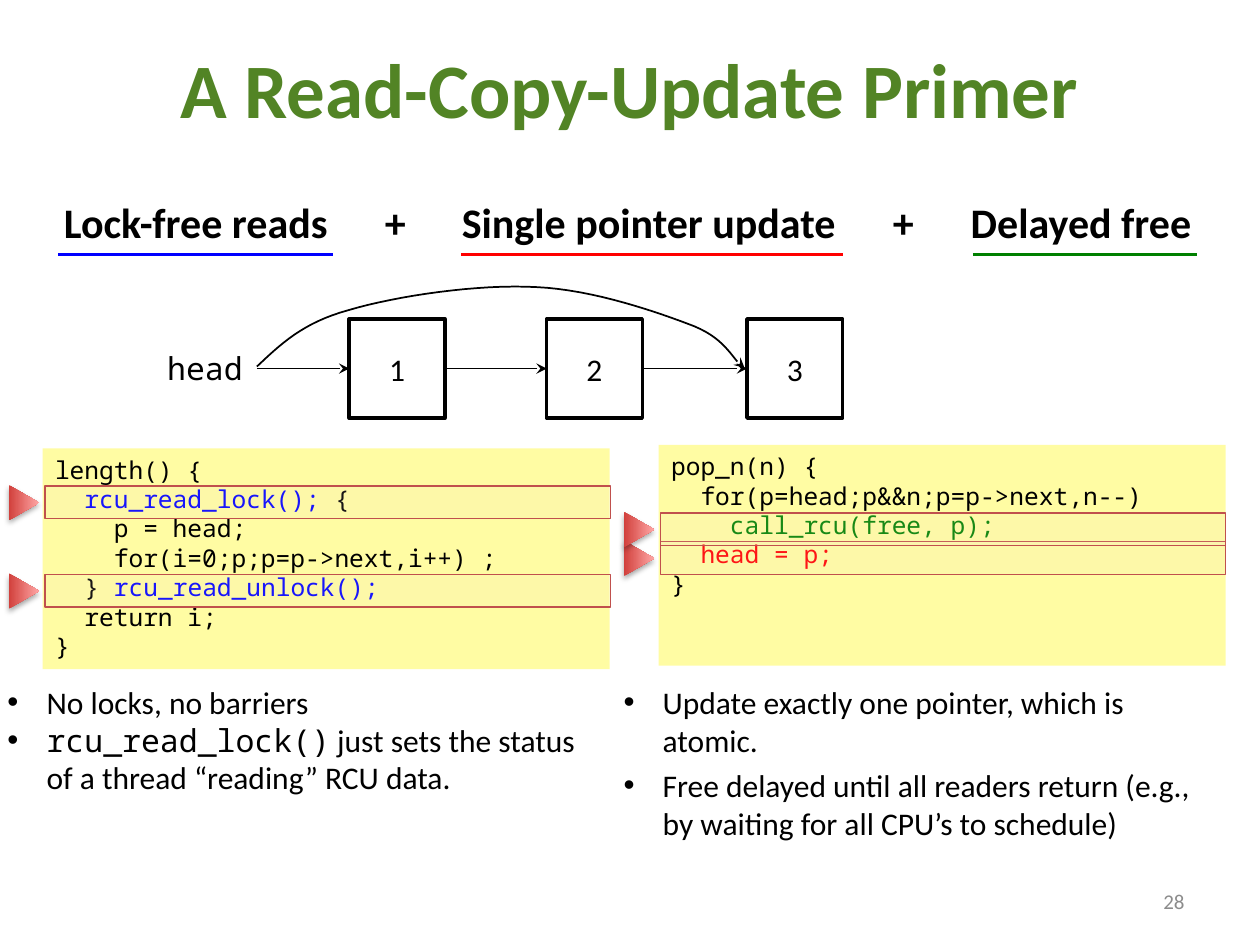
from lxml.etree import SubElement
from pptx import Presentation
from pptx.dml.color import RGBColor
from pptx.enum.shapes import MSO_CONNECTOR, MSO_SHAPE
from pptx.enum.text import MSO_ANCHOR as ANCHOR, PP_ALIGN as ALIGN
from pptx.oxml.ns import qn
from pptx.util import Cm, Pt

SANS, MONO = "Calibri", "Noto Sans Mono"
BLACK, BLUE, RED, GREEN = "000000", "0000FF", "FF0000", "008000"

# All lengths are in centimetres.
TITLE = "A Read-Copy-Update Primer"
PAGE_NUMBER = "28"
IDEAS = ["Lock-free reads", "+", "Single pointer update", "+", "Delayed free"]
IDEA_TABS = [6.47, 8.02, 16.71, 18.28]
UNDERLINES = [(1.17, 6.71, BLUE), (9.3, 16.99, RED), (19.61, 24.13, GREEN)]
UNDERLINE_Y = 5.13

NODES = [("1", 7.04), ("2", 11.02), ("3", 15.06)]
NODE_TOP, NODE_WIDTH, NODE_HEIGHT = 6.43, 1.93, 2.0
BYPASS_START = (5.18, 7.39)
BYPASS_CURVES = [
    [(5.64, 6.96), (6.1, 6.5), (7.04, 6.25)],
    [(7.98, 5.97), (9.65, 5.72), (10.82, 5.79)],
    [(11.96, 5.84), (13.28, 6.3), (14.0, 6.58)],
    [(14.68, 6.86), (14.78, 7.29), (15.01, 7.42)],
]

# Each line of code is a list of (text, colour) pieces.
READER_CODE = [
    [("length() {", BLACK)],
    [("  ", BLACK), ("rcu_read_lock();", BLUE), (" {", BLACK)],
    [("    p = head;", BLACK)],
    [("    for(i=0;p;p=p->next,i++) ;", BLACK)],
    [("  } ", BLACK), ("rcu_read_unlock();", BLUE)],
    [("  return i;", BLACK)],
    [("}", BLACK)],
]
UPDATER_CODE = [
    [("pop_n(n) {", BLACK)],
    [("  for(p=head;p&&n;p=p->next,n--)", BLACK)],
    [("    call_rcu(free, p);", GREEN)],
    [("  head = p;", RED)],
    [("}", BLACK)],
]
CODE_BLOCKS = [((0.86, 9.04), READER_CODE), ((13.28, 8.97), UPDATER_CODE)]
HIGHLIGHTS = [(13.31, 10.92), (0.91, 9.8), (0.91, 11.58), (13.31, 10.34)]

# Each bullet is a list of (text, font) pieces.
NOTES = [
    ((-0.1, 13.64, 12.57, 2.57), [
        [("No locks, no barriers", SANS)],
        [("rcu_read_lock()", MONO),
         (" just sets the status of a thread “reading” RCU data.", SANS)],
    ]),
    ((12.32, 13.64, 12.57, 1.8),
     [[("Update exactly one pointer, which is atomic.", SANS)]]),
    ((12.32, 15.32, 12.57, 1.8),
     [[("Free delayed until all readers return (e.g., "
        "by waiting for all CPU’s to schedule)", SANS)]]),
]


def rgb(value):
    return RGBColor.from_string(value)


def add_run(paragraph, text, size, font=SANS, color=BLACK, bold=False):
    run = paragraph.add_run()
    run.text = text
    run.font.name, run.font.size, run.font.bold = font, Pt(size), bold
    run.font.color.rgb = rgb(color)


def add_text_box(box, anchor=ANCHOR.TOP, wrap=True):
    text_box = shapes.add_textbox(*map(Cm, box))
    text_box.text_frame.word_wrap = wrap
    text_box.text_frame.vertical_anchor = anchor
    return text_box


def paragraphs(frame, lines):
    """Yield each line with its own paragraph of the frame."""
    for index, line in enumerate(lines):
        yield frame.add_paragraph() if index else frame.paragraphs[0], line


def set_line(shape, color, width):
    shape.line.color.rgb = rgb(color)
    shape.line.width = Pt(width)


def add_shape(kind, box, fill=None, line=None, width=1):
    shape = shapes.add_shape(kind, *map(Cm, box))
    shape.shadow.inherit = False
    if fill:
        shape.fill.solid()
        shape.fill.fore_color.rgb = rgb(fill)
    if line:
        set_line(shape, line, width)
    else:
        shape.line.fill.background()
    return shape


def add_arrowhead(shape):
    SubElement(shape._element.spPr.find(qn("a:ln")), qn("a:tailEnd"), type="stealth")


def add_line(start, end, color, width):
    line = shapes.add_connector(MSO_CONNECTOR.STRAIGHT, *map(Cm, start + end))
    set_line(line, color, width)
    SubElement(line._element.spPr, qn("a:effectLst"))
    return line


def bezier(start, first, second, end, steps=16):
    """Points along a cubic curve, without its start."""
    for step in range(1, steps + 1):
        t = step / steps
        weights = ((1 - t) ** 3, 3 * t * (1 - t) ** 2, 3 * t * t * (1 - t), t ** 3)
        yield tuple(sum(w * p[axis] for w, p in zip(weights, (start, first, second, end)))
                    for axis in (0, 1))


def add_bypass():
    points, start = [], BYPASS_START
    for curve in BYPASS_CURVES:
        points += bezier(start, *curve)
        start = curve[-1]
    builder = shapes.build_freeform(*map(Cm, BYPASS_START))
    builder.add_line_segments([(Cm(x), Cm(y)) for x, y in points], close=False)
    bypass = builder.convert_to_shape()
    bypass.shadow.inherit = False
    bypass.fill.background()
    set_line(bypass, BLACK, 1)
    add_arrowhead(bypass)


def add_highlight(left, top):
    """A tinted bar over a line of code, with a pointer to its left."""
    bar = add_shape(MSO_SHAPE.RECTANGLE, (left, top, 11.4, 0.66), "F2DCDB", "C0504D", 0.75)
    tint = bar._element.spPr.find(qn("a:solidFill"))[0]
    SubElement(tint, qn("a:alpha"), val="10000")

    pointer = add_shape(MSO_SHAPE.ISOSCELES_TRIANGLE, (left - 0.78, top + 0.03, 0.71, 0.61))
    pointer.rotation = 90
    pointer.fill.gradient()
    pointer.fill.gradient_angle = 90
    for stop, color in zip(pointer.fill.gradient_stops, ("D1403C", "FFA6A5")):
        stop.color.rgb = rgb(color)
    shadow = SubElement(pointer._element.spPr.find(qn("a:effectLst")), qn("a:outerShdw"),
                        blurRad=str(Pt(3.1)), dist=str(Pt(1.8)), dir="5400000", rotWithShape="0")
    SubElement(SubElement(shadow, qn("a:srgbClr"), val=BLACK), qn("a:alpha"), val="35000")


deck = Presentation()
deck.slide_width, deck.slide_height = Cm(25.4), Cm(19.05)
shapes = deck.slides.add_slide(deck.slide_layouts[6]).shapes

title = add_text_box((1.27, 0.18, 22.86, 3.18), ANCHOR.MIDDLE).text_frame.paragraphs[0]
title.alignment = ALIGN.CENTER
add_run(title, TITLE, 44, color="528425", bold=True)

number = add_text_box((18.21, 17.65, 5.92, 1.02), ANCHOR.MIDDLE).text_frame.paragraphs[0]
number.alignment = ALIGN.RIGHT
add_run(number, PAGE_NUMBER, 12, color="8C8C8C")

ideas = add_text_box((0.81, 3.84, 23.75, 1.27)).text_frame
ideas.margin_left = Cm(0.48)
add_run(ideas.paragraphs[0], "\t".join(IDEAS), 24, bold=True)
tab_list = SubElement(ideas.paragraphs[0]._p.get_or_add_pPr(), qn("a:tabLst"))
for tab in IDEA_TABS:
    SubElement(tab_list, qn("a:tab"), pos=str(Cm(tab)), algn="l")
for left, right, color in UNDERLINES:
    add_line((left, UNDERLINE_Y), (right, UNDERLINE_Y), color, 2)

for corner, code in CODE_BLOCKS:
    block = add_shape(MSO_SHAPE.RECTANGLE, corner + (11.43, 4.45), "FFFCA3").text_frame
    block.vertical_anchor = ANCHOR.TOP
    for paragraph, pieces in paragraphs(block, code):
        paragraph.alignment = ALIGN.LEFT
        for text, color in pieces:
            add_run(paragraph, text, 14, MONO, color)
for corner in HIGHLIGHTS:
    add_highlight(*corner)

head = add_text_box((3.12, 6.92, 2.06, 1.02), wrap=False)
add_run(head.text_frame.paragraphs[0], "head", 18, MONO)
previous = head
for label, left in NODES:
    node = add_shape(MSO_SHAPE.RECTANGLE, (left, NODE_TOP, NODE_WIDTH, NODE_HEIGHT),
                     "FFFFFF", BLACK, 2)
    node.text_frame.vertical_anchor = ANCHOR.MIDDLE
    node.text_frame.paragraphs[0].alignment = ALIGN.CENTER
    add_run(node.text_frame.paragraphs[0], label, 18)
    link = add_line((0, 0), (1, 1), BLACK, 1)
    link.begin_connect(previous, 3)
    link.end_connect(node, 1)
    add_arrowhead(link)
    previous = node
add_bypass()

for box, bullets in NOTES:
    for paragraph, pieces in paragraphs(add_text_box(box).text_frame, bullets):
        properties = paragraph._p.get_or_add_pPr()
        properties.set("marL", str(Cm(0.79)))
        properties.set("indent", str(Cm(-0.79)))
        SubElement(properties, qn("a:buFont"), typeface="Arial")
        SubElement(properties, qn("a:buChar"), char="•")
        for text, font in pieces:
            add_run(paragraph, text, 18, font)

deck.save("out.pptx")
